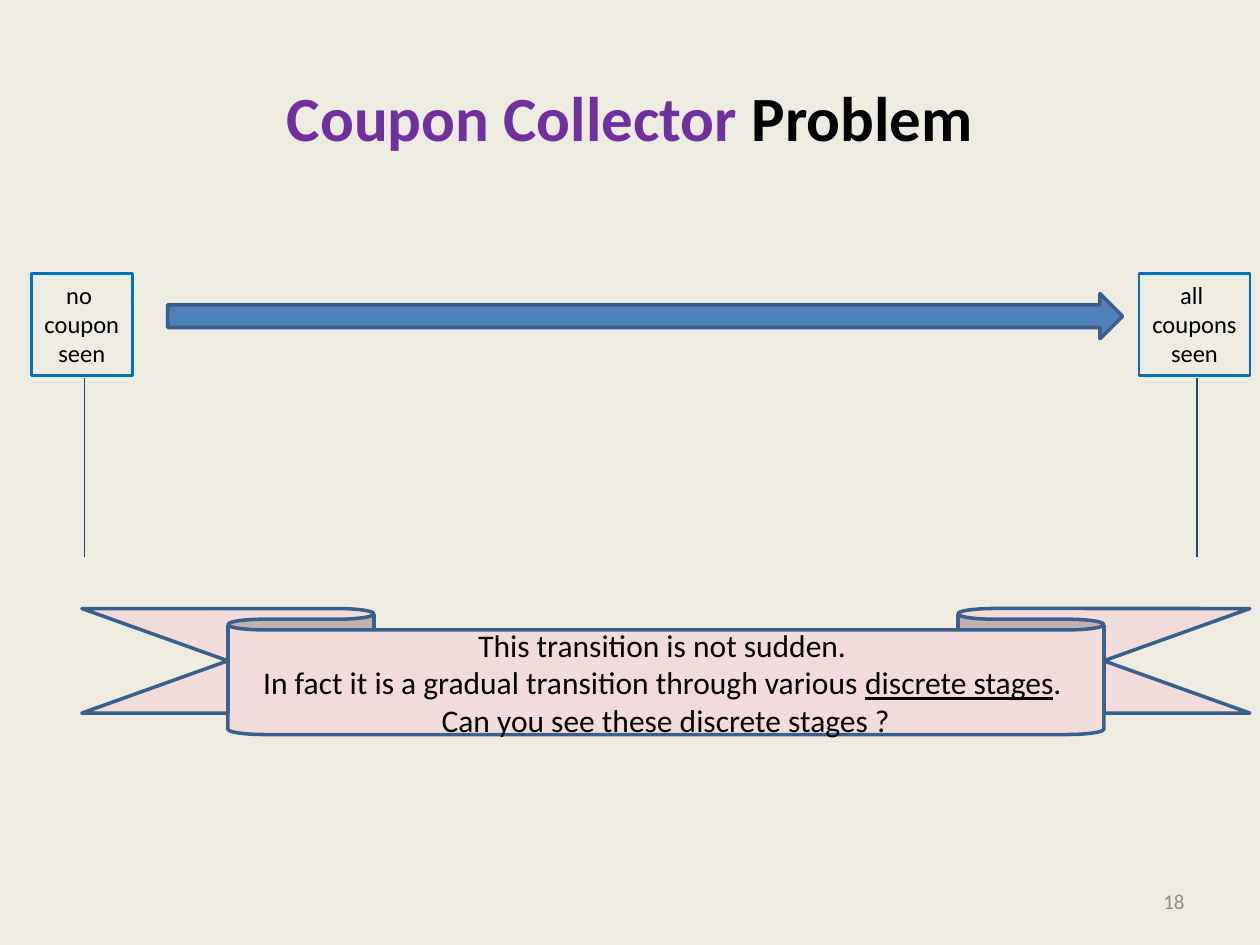
"""Build the coupon collector slide: two end states, an arrow and a banner."""
from dataclasses import dataclass

from lxml import etree
from pptx import Presentation
from pptx.dml.color import RGBColor
from pptx.enum.shapes import MSO_CONNECTOR, MSO_SHAPE
from pptx.enum.text import MSO_ANCHOR, MSO_AUTO_SIZE, PP_ALIGN
from pptx.oxml.ns import qn
from pptx.util import Inches, Pt

STRAIGHT = MSO_CONNECTOR.STRAIGHT
ARROW, RIBBON = MSO_SHAPE.RIGHT_ARROW, MSO_SHAPE.DOWN_RIBBON
TOP, MIDDLE = MSO_ANCHOR.TOP, MSO_ANCHOR.MIDDLE
CENTER, RIGHT = PP_ALIGN.CENTER, PP_ALIGN.RIGHT
GROW = MSO_AUTO_SIZE.SHAPE_TO_FIT_TEXT


@dataclass(frozen=True)
class Theme:
    font: str = "Calibri"
    background: str = "EEECE1"
    ink: str = "000000"
    accent: str = "7030A0"
    muted: str = "8C8C8C"
    state_edge: str = "0070C0"
    stem: str = "1F497D"
    arrow: str = "4F81BD"
    banner: str = "F2DCDB"
    outline: str = "3A5F8C"
    title_size: int = 36
    banner_size: int = 18
    state_size: int = 14
    number_size: int = 12


THEME = Theme()
WIDTH, HEIGHT = 10, 7.5

TITLE = [[("Coupon Collector ", {"color": THEME.accent}), ("Problem", {})]]
NUMBER = [[("18", {"color": THEME.muted})]]
STATES = [
    {"lines": ["no ", "coupon", "seen"], "left": 0.25, "width": 0.8, "stem": 0.67},
    {"lines": ["all ", "coupons", "seen"], "left": 9.04, "width": 0.88, "stem": 9.5},
]
BANNER = [
    [("This transition is not sudden. ", {})],
    [("In fact it is a gradual transition through various ", {}),
     ("discrete stages", {"underline": True}), (". ", {})],
    [("Can you see these discrete stages ?", {})],
]

TITLE_AREA = (0.5, 0.3, WIDTH - 1, 1.25)
NUMBER_AREA = (7.17, 6.95, 2.33, 0.4)
ARROW_AREA = (1.33, 2.33, 7.58, 0.36)
BANNER_AREA = (0.65, 4.83, 9.27, 1)
STATE_TOP, STATE_HEIGHT = 2.17, 0.81
STEM_TOP, STEM_BOTTOM = 3, 4.42


def rgb(color):
    return RGBColor.from_string(color)


def inches(area):
    return [Inches(length) for length in area]


def set_line(shape, color, width):
    shape.line.color.rgb = rgb(color)
    shape.line.width = Pt(width)


def write(shape, paragraphs, size, align=CENTER, anchor=MIDDLE, bold=None, wrap=True):
    frame = shape.text_frame
    frame.word_wrap = wrap
    frame.vertical_anchor = anchor
    frame.text = "\n".join("" for _ in paragraphs)
    for paragraph, pieces in zip(frame.paragraphs, paragraphs):
        paragraph.alignment = align
        for words, style in pieces:
            run = paragraph.add_run()
            run.text = words
            run.font.name = THEME.font
            run.font.size = Pt(size)
            run.font.bold = bold
            run.font.underline = style.get("underline")
            run.font.color.rgb = rgb(style.get("color", THEME.ink))


def add_preset(shapes, preset, area, fill):
    shape = shapes.add_shape(preset, *inches(area))
    shape.shadow.inherit = False
    shape.fill.solid()
    shape.fill.fore_color.rgb = rgb(fill)
    set_line(shape, THEME.outline, 2)
    return shape


def add_state(shapes, state):
    members = shapes.add_group_shape().shapes
    x = state["stem"]
    stem = members.add_connector(STRAIGHT, *inches((x, STEM_TOP, x, STEM_BOTTOM)))
    set_line(stem, THEME.stem, 0.75)
    etree.SubElement(stem._element.spPr, qn("a:effectLst"))

    area = (state["left"], STATE_TOP, state["width"], STATE_HEIGHT)
    label = members.add_textbox(*inches(area))
    set_line(label, THEME.state_edge, 1.5)
    lines = [[(words, {})] for words in state["lines"]]
    write(label, lines, THEME.state_size, anchor=TOP, wrap=False)
    label.text_frame.auto_size = GROW


def main():
    deck = Presentation()
    deck.slide_width, deck.slide_height = inches((WIDTH, HEIGHT))
    slide = deck.slides.add_slide(deck.slide_layouts[6])
    slide.background.fill.solid()
    slide.background.fill.fore_color.rgb = rgb(THEME.background)
    shapes = slide.shapes

    title = shapes.add_textbox(*inches(TITLE_AREA))
    write(title, TITLE, THEME.title_size, bold=True)
    number = shapes.add_textbox(*inches(NUMBER_AREA))
    write(number, NUMBER, THEME.number_size, align=RIGHT)

    for state in STATES:
        add_state(shapes, state)
    add_preset(shapes, ARROW, ARROW_AREA, THEME.arrow)
    banner = add_preset(shapes, RIBBON, BANNER_AREA, THEME.banner)
    banner.adjustments[0] = 0.17
    banner.adjustments[1] = 0.75
    write(banner, BANNER, THEME.banner_size)

    deck.save("out.pptx")


if __name__ == "__main__":
    main()
